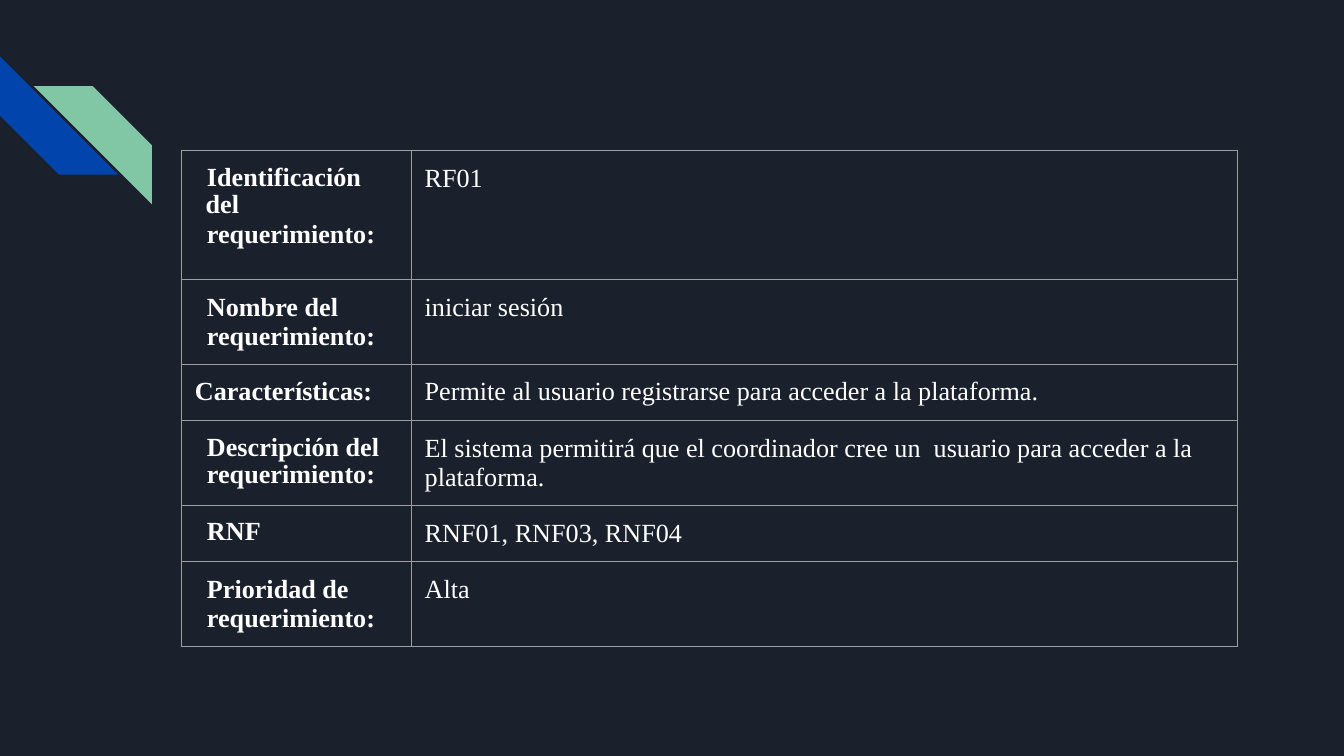
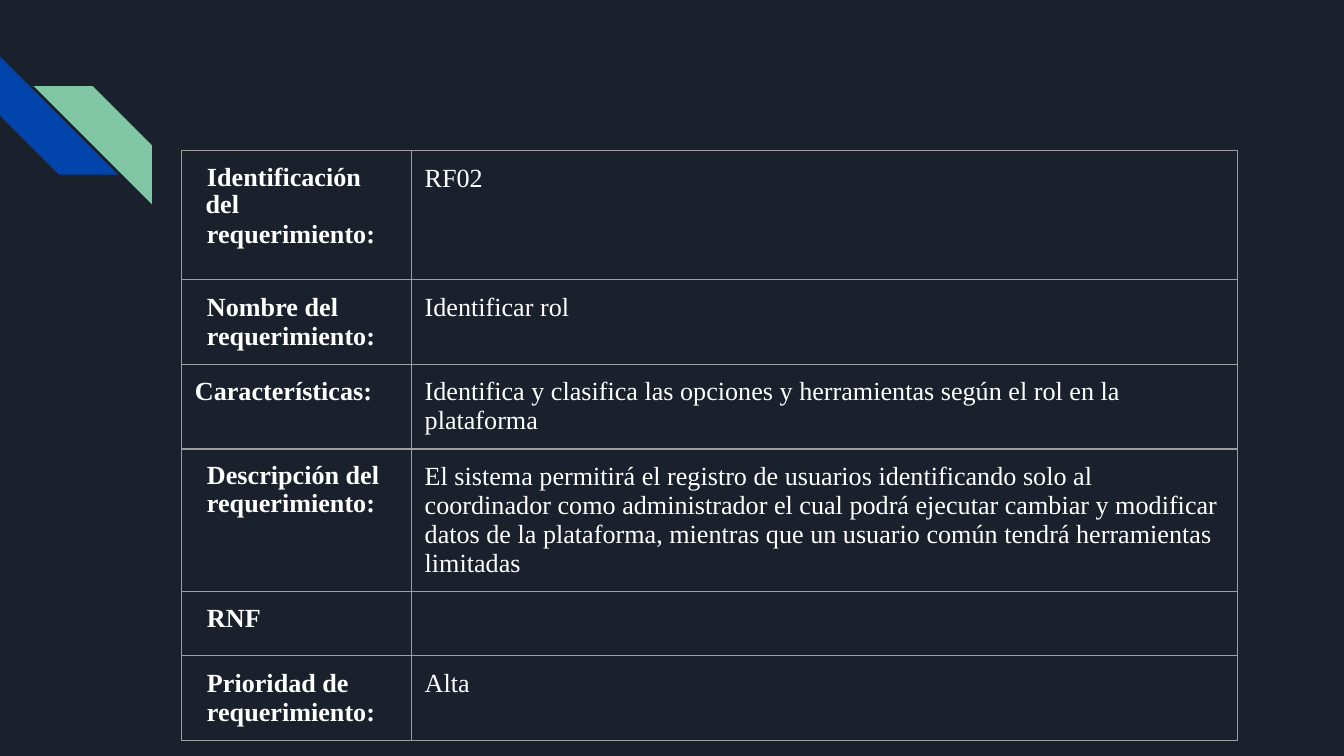
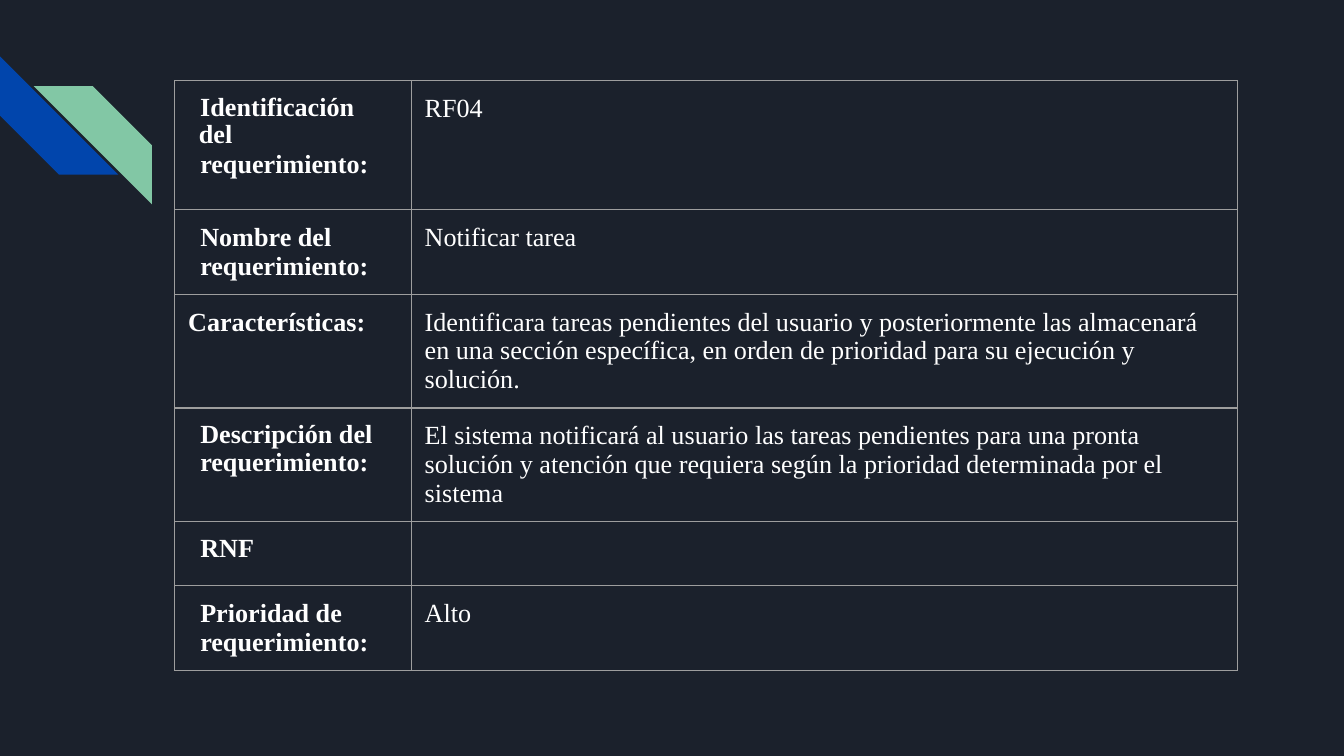
from dataclasses import dataclass
from lxml.etree import SubElement
from pptx import Presentation
from pptx.dml.color import RGBColor
from pptx.enum.shapes import MSO_SHAPE
from pptx.oxml.ns import qn
from pptx.util import Inches, Pt


@dataclass(frozen=True)
class Theme:
    background: str = "1B212C"
    blue: str = "0145AC"
    green: str = "82C7A5"
    text: str = "FFFFFF"
    border: str = "9E9E9E"
    font: str = "Times New Roman"
    body_size: float = 14
    border_width: float = 0.75


THEME = Theme()
SLIDE_WIDTH = Inches(10)
SLIDE_HEIGHT = SLIDE_WIDTH * 9 // 16
TABLE_RIGHT = 9.21
VALUE_WIDTH = 6.15
ROW_HEIGHTS = [0.96] + [0.42] * 5
CELL_MARGIN = 0.1


@dataclass(frozen=True)
class Line:
    """One paragraph of a cell, with its indents in inches."""
    text: str
    left: float = 0.09
    first: float = 0
    spacing: float | None = None
    before: float | None = None


# Row labels, the same in every requirement
LABELS = [
    [Line("Identificación  del", 0.08, 0.01, spacing=0.96),
     Line("requerimiento:", before=0.3)],
    [Line("Nombre del"), Line("requerimiento:")],
    [Line("Características:", left=0)],
    [Line("Descripción del  requerimiento:", spacing=0.96)],
    [Line("RNF", spacing=0.96)],
    [Line("Prioridad de"), Line("requerimiento:")],
]

# Table left and top, then one value per label
REQUIREMENTS = [
    (1.35, 1.12, [
        "RF01",
        "iniciar sesión",
        "Permite al usuario registrarse para acceder a la plataforma.",
        "El sistema permitirá que el coordinador cree un  usuario para "
        "acceder a la plataforma.",
        "RNF01, RNF03, RNF04",
        "Alta",
    ]),
    (1.35, 1.12, [
        "RF02",
        "Identificar rol",
        "Identifica y clasifica las opciones y herramientas según el rol "
        "en la plataforma",
        "El sistema permitirá el registro de usuarios identificando solo al "
        "coordinador como administrador el cual podrá ejecutar cambiar y "
        "modificar datos de la plataforma, mientras que un usuario común "
        "tendrá herramientas limitadas",
        "",
        "Alta",
    ]),
    (1.3, 0.6, [
        "RF04",
        "Notificar tarea",
        "Identificara tareas pendientes del usuario y posteriormente las "
        "almacenará en una sección específica, en orden de prioridad para "
        "su ejecución y solución.",
        "El sistema notificará al usuario las tareas pendientes para una "
        "pronta solución y atención que requiera según la prioridad "
        "determinada por el sistema",
        "",
        "Alto",
    ]),
]


def set_background(master):
    fill = master.background.fill
    fill.solid()
    fill.fore_color.rgb = RGBColor.from_string(THEME.background)


def add_stripe(slide, left, top, color):
    stripe = slide.shapes.add_shape(
        MSO_SHAPE.DIAGONAL_STRIPE, Inches(left), Inches(top), Inches(0.88), Inches(0.88))
    stripe.shadow.inherit = False
    stripe.fill.solid()
    stripe.fill.fore_color.rgb = RGBColor.from_string(color)
    stripe.line.fill.background()
    return stripe


def add_corner_mark(slide):
    blue_stripe = add_stripe(slide, 0, 0.42, THEME.blue)
    blue_stripe.rotation = 270
    green_stripe = add_stripe(slide, 0.25, 0.64, THEME.green)
    green_stripe._element.spPr.xfrm.set("flipH", "1")


def add_borders(cell):
    properties = cell._tc.get_or_add_tcPr()
    for position, side in enumerate(("a:lnL", "a:lnR", "a:lnT", "a:lnB")):
        border = SubElement(properties, qn(side), w=str(Pt(THEME.border_width)))
        fill = SubElement(border, qn("a:solidFill"))
        SubElement(fill, qn("a:srgbClr"), val=THEME.border)
        properties.insert(position, border)  # borders come before the fill


def fill_cell(cell, lines, bold):
    cell.fill.background()
    cell.margin_left = cell.margin_right = Inches(CELL_MARGIN)
    cell.margin_top = cell.margin_bottom = Inches(CELL_MARGIN)
    add_borders(cell)
    cell.text_frame.text = "\n".join(line.text for line in lines)
    for paragraph, line in zip(cell.text_frame.paragraphs, lines):
        indents = paragraph._p.get_or_add_pPr()
        indents.set("marL", str(Inches(line.left)))
        indents.set("indent", str(Inches(line.first)))
        if line.spacing is not None:
            paragraph.line_spacing = line.spacing
        if line.before is not None:
            paragraph.space_before = Pt(line.before)
        if not line.text:  # an empty cell takes its height from the end mark
            end_mark = SubElement(paragraph._p, qn("a:endParaRPr"))
            SubElement(end_mark, qn("a:latin"), typeface=THEME.font)
        for run in paragraph.runs:
            run.font.name = THEME.font
            run.font.size = Pt(THEME.body_size)
            run.font.bold = bold
            run.font.color.rgb = RGBColor.from_string(THEME.text)


def add_requirement_table(slide, left, top, values):
    table = slide.shapes.add_table(
        len(LABELS), 2, Inches(left), Inches(top),
        Inches(TABLE_RIGHT - left), Inches(sum(ROW_HEIGHTS))).table
    table.first_row = table.horz_banding = False
    table.columns[0].width = Inches(TABLE_RIGHT - VALUE_WIDTH - left)
    table.columns[1].width = Inches(VALUE_WIDTH)
    for index, (label, value) in enumerate(zip(LABELS, values)):
        table.rows[index].height = Inches(ROW_HEIGHTS[index])
        fill_cell(table.cell(index, 0), label, bold=True)
        fill_cell(table.cell(index, 1), [Line(value, left=0)], bold=False)


def main():
    prs = Presentation()
    prs.slide_width, prs.slide_height = SLIDE_WIDTH, SLIDE_HEIGHT
    set_background(prs.slide_master)
    for left, top, values in REQUIREMENTS:
        slide = prs.slides.add_slide(prs.slide_layouts[6])
        add_corner_mark(slide)
        add_requirement_table(slide, left, top, values)
    prs.save("out.pptx")


if __name__ == "__main__":
    main()
